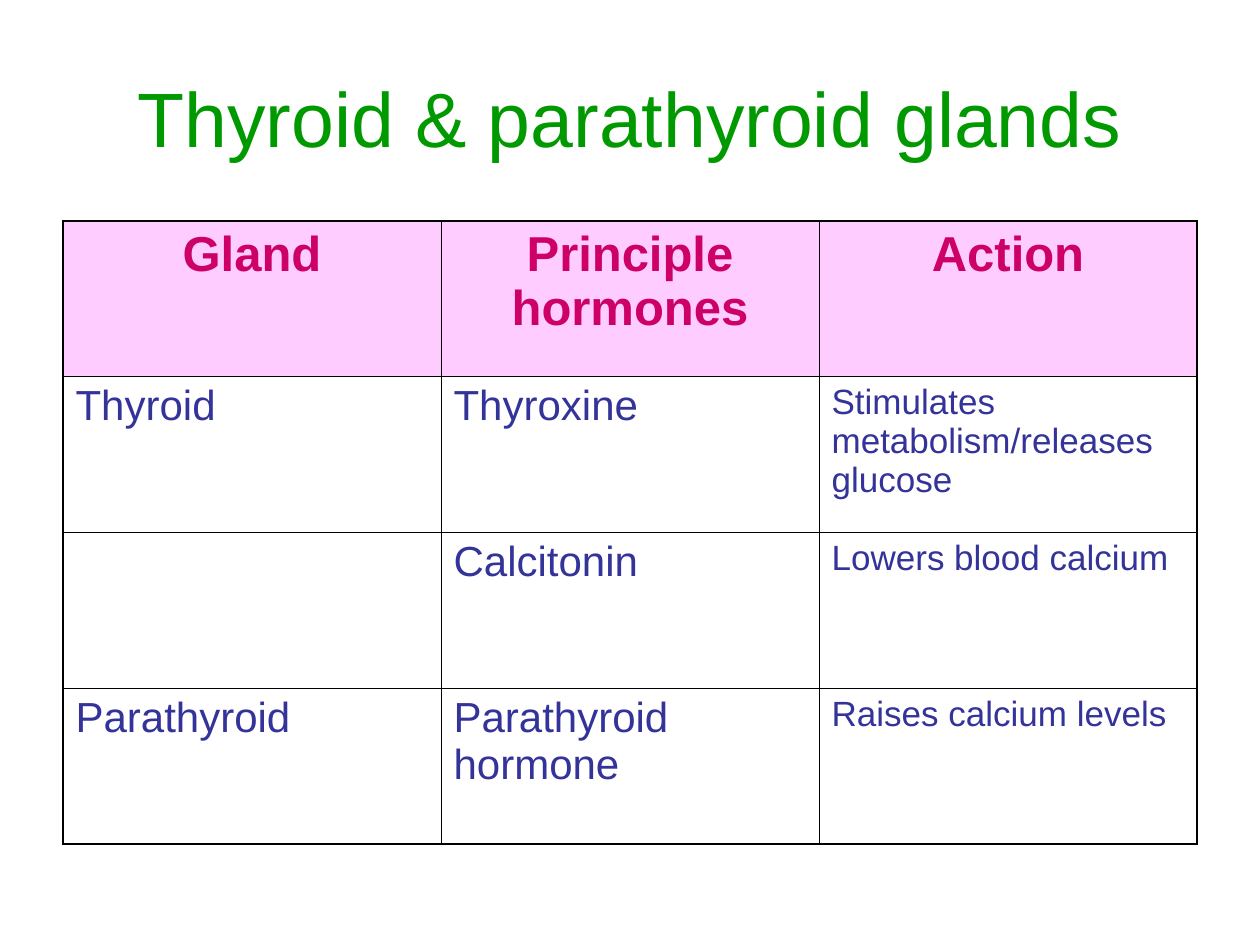
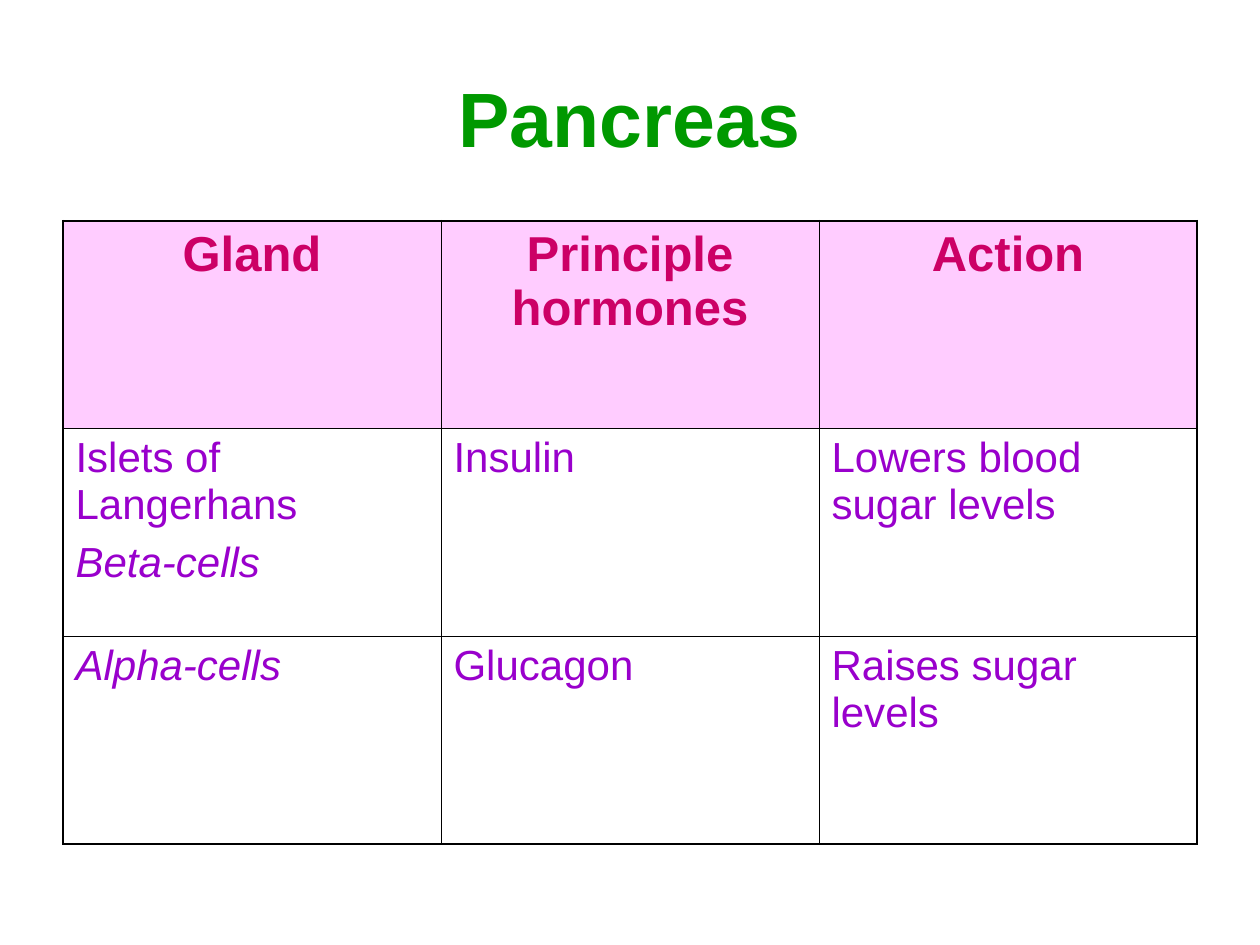
from lxml.etree import SubElement as Sub
from pptx import Presentation
from pptx.dml.color import RGBColor
from pptx.enum.text import MSO_ANCHOR as Anchor, PP_ALIGN as Align
from pptx.oxml.ns import qn
from pptx.util import Cm, Pt

# Shared look
FONT = "Arial"
GREEN, PINK, ROSE = "009900", "FFCCFF", "CC0066"
BLUE, PURPLE, BLACK = "333399", "9900CC", "000000"
THICK, THIN = Pt(1.08), Pt(0.45)
LEFT, WIDTH = Cm(1.27), Cm(22.86)
TABLE_TOP, TABLE_HIGH = Cm(4.45), Cm(12.57)
HEADS = ["Gland", "Principle hormones", "Action"]


def color(code):
    return RGBColor.from_string(code)


def style(para, size, code, align=Align.LEFT, **extra):
    """Format one paragraph."""
    para.alignment = align
    for name, value in {"name": FONT, "size": Pt(size), **extra}.items():
        setattr(para.font, name, value)
    para.font.color.rgb = color(code)


def add_title(slide, text, bold):
    box = slide.shapes.add_textbox(LEFT, Cm(0.76), WIDTH, Cm(3.18))
    frame = box.text_frame
    frame.word_wrap = True
    frame.vertical_anchor = Anchor.MIDDLE
    frame.text = text
    style(frame.paragraphs[0], 44, GREEN, Align.CENTER, bold=bold)


def add_edges(cell, edges):
    """Draw the cell's borders; they must come before its fill."""
    props = cell._tc.get_or_add_tcPr()
    for spot, (side, outer) in enumerate(edges.items()):
        line = Sub(props, qn(f"a:ln{side}"), w=str(THICK if outer else THIN))
        fill = Sub(line, qn("a:solidFill"))
        Sub(fill, qn("a:srgbClr"), val=BLACK)
        props.insert(spot, line)


def fill_head(cell, text):
    cell.fill.solid()
    cell.fill.fore_color.rgb = color(PINK)
    cell.text = text
    style(cell.text_frame.paragraphs[0], 28, ROSE, Align.CENTER, bold=True)


def fill_body(cell, text, size, code):
    """Write the lines of a body cell; a leading * marks an italic line."""
    cell.fill.background()
    cell.text = text.replace("*", "")
    lines = text.split("\n")
    for spot, (para, line) in enumerate(zip(cell.text_frame.paragraphs, lines)):
        style(para, size, code, bold=False, italic=line.startswith("*"))
        if spot:
            para.space_before = Pt(6)


def add_grid(slide, body, code, sizes):
    rows, cols = len(body) + 1, len(HEADS)
    frame = slide.shapes.add_table(rows, cols, LEFT, TABLE_TOP, WIDTH, TABLE_HIGH)
    table = frame.table
    table.first_row = table.horz_banding = False
    for r, texts in enumerate([HEADS, *body]):
        for c, text in enumerate(texts):
            cell = table.cell(r, c)
            if r == 0:
                fill_head(cell, text)
            else:
                fill_body(cell, text, sizes[c], code)
            add_edges(cell, {"L": c == 0, "R": c == cols - 1,
                             "T": r == 0, "B": r == rows - 1})


def add_page(deck, title, bold, body, code, sizes):
    slide = deck.slides.add_slide(deck.slide_layouts[6])
    add_title(slide, title, bold)
    add_grid(slide, body, code, sizes)


def main():
    deck = Presentation()
    deck.slide_width, deck.slide_height = Cm(25.4), Cm(19.05)

    # Thyroid and parathyroid
    add_page(deck, "Thyroid & parathyroid glands", False, [
        ["Thyroid", "Thyroxine", "Stimulates metabolism/releases glucose"],
        ["", "Calcitonin", "Lowers blood calcium"],
        ["Parathyroid", "Parathyroid hormone", "Raises calcium levels"],
    ], BLUE, [24, 24, 20])

    # Pancreas
    add_page(deck, "Pancreas", True, [
        ["Islets of Langerhans\n*Beta-cells", "Insulin", "Lowers blood sugar levels"],
        ["*Alpha-cells", "Glucagon", "Raises sugar levels"],
    ], PURPLE, [24, 24, 24])

    deck.save("out.pptx")


if __name__ == "__main__":
    main()
